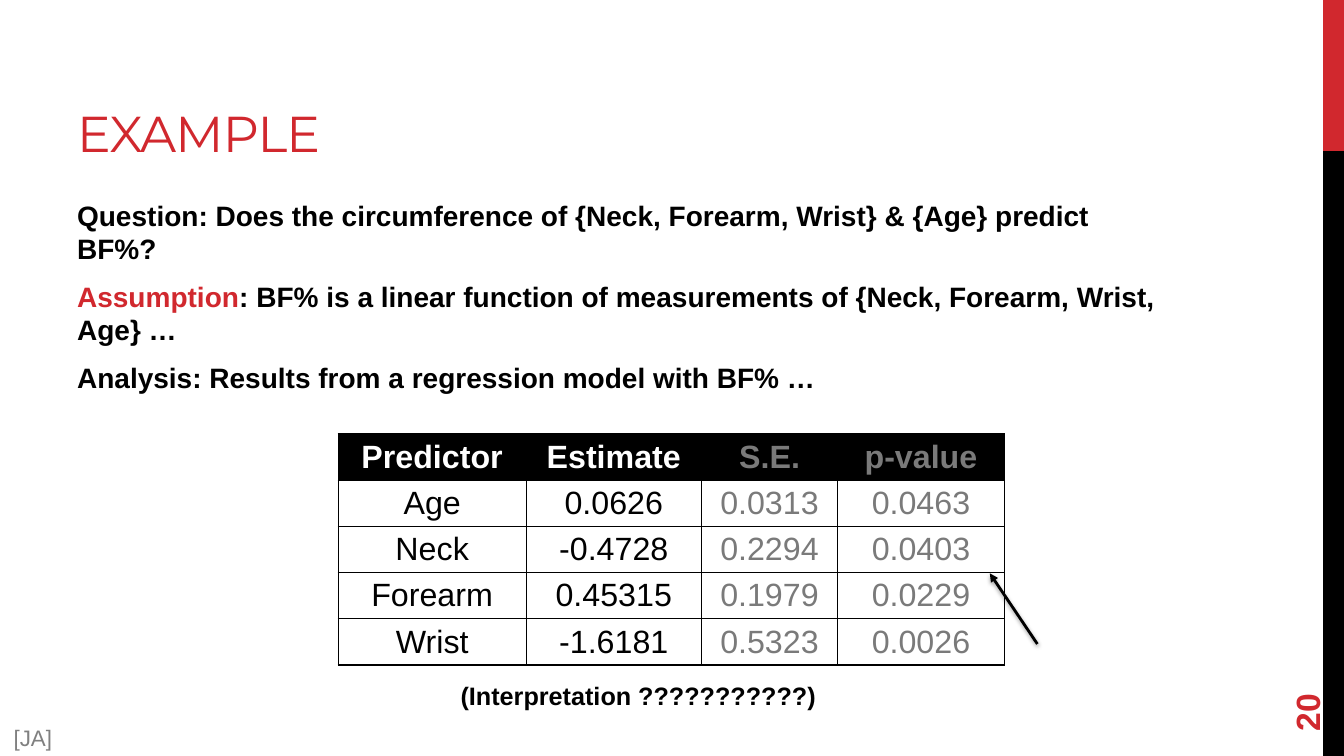
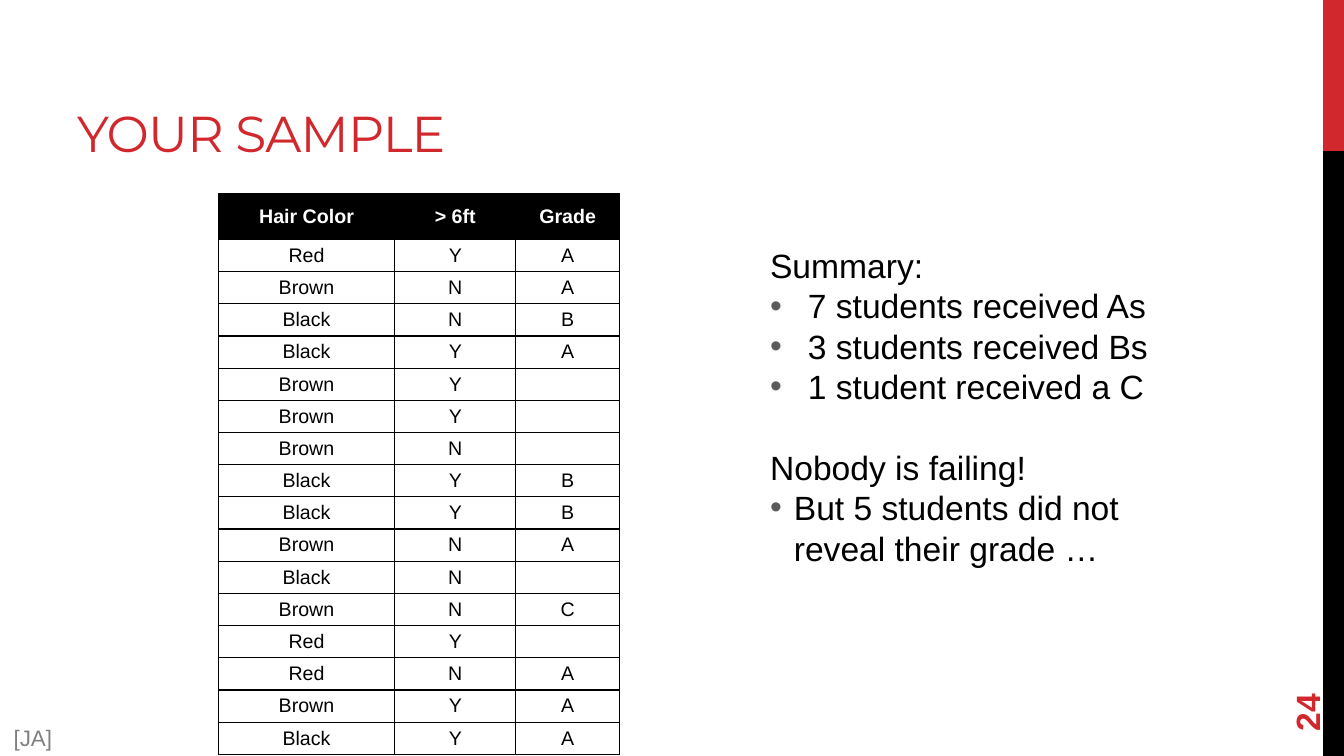
from dataclasses import dataclass

from lxml.etree import SubElement
from pptx import Presentation
from pptx.dml.color import RGBColor
from pptx.enum.shapes import MSO_CONNECTOR as Connector, MSO_SHAPE as Preset
from pptx.enum.text import MSO_ANCHOR as Anchor, PP_ALIGN as Align
from pptx.oxml.ns import qn
from pptx.util import Pt

RED, BLACK, WHITE = "D1282E", "000000", "FFFFFF"
GRAY, FOOTER_GRAY, BULLET_GRAY = "7A7A7A", "808080", "5B5B5B"
BODY_FONT, TITLE_FONT = "Arial", "Montserrat"
PAGE_WIDTH, PAGE_HEIGHT = 960, 540
BAND_WIDTH, BAND_SPLIT = 15, 108


@dataclass(frozen=True)
class Band:
    top: float
    height: float
    color: str


@dataclass(frozen=True)
class Grid:
    """A table with a black header row; columns from muted_from on have gray text."""
    left: float
    top: float
    widths: tuple[float, ...]
    header_height: float
    row_height: float
    size: float
    rows: tuple[tuple[str, ...], ...]
    muted_from: int


@dataclass(frozen=True)
class SummaryLine:
    text: str
    indent: float = 0
    space_before: float = 0


BANDS = (
    Band(0, BAND_SPLIT, RED),
    Band(BAND_SPLIT, PAGE_HEIGHT - BAND_SPLIT, BLACK),
)

REGRESSION = Grid(
    left=241.5, top=310, widths=(134.5, 125, 97.5, 119), header_height=33,
    row_height=33, size=23, muted_from=2,
    rows=(
        ("Predictor", "Estimate", "S.E.", "p-value"),
        ("Age", "0.0626", "0.0313", "0.0463"),
        ("Neck", "-0.4728", "0.2294", "0.0403"),
        ("Forearm", "0.45315", "0.1979", "0.0229"),
        ("Wrist", "-1.6181", "0.5323", "0.0026"),
    ),
)

STUDENTS = Grid(
    left=156, top=138.5, widths=(126, 86.5, 74), header_height=32.5,
    row_height=23, size=14, muted_from=3,
    rows=(
        ("Hair Color", "> 6ft", "Grade"),
        ("Red", "Y", "A"),
        ("Brown", "N", "A"),
        ("Black", "N", "B"),
        ("Black", "Y", "A"),
        ("Brown", "Y", ""),
        ("Brown", "Y", ""),
        ("Brown", "N", ""),
        ("Black", "Y", "B"),
        ("Black", "Y", "B"),
        ("Brown", "N", "A"),
        ("Black", "N", ""),
        ("Brown", "N", "C"),
        ("Red", "Y", ""),
        ("Red", "N", "A"),
        ("Brown", "Y", "A"),
        ("Black", "Y", "A"),
    ),
)

STATEMENTS = (
    (("Question: Does the circumference of {Neck, Forearm, Wrist} & {Age} predict BF%?", BLACK),),
    (("Assumption", RED),
     (": BF% is a linear function of measurements of {Neck, Forearm, Wrist, Age} …", BLACK)),
    (("Analysis: Results from a regression model with BF% …", BLACK),),
)

SUMMARY = (
    SummaryLine("Summary:"),
    SummaryLine("7 students received As", indent=27),
    SummaryLine("3 students received Bs", indent=27),
    SummaryLine("1 student received a C", indent=27),
    SummaryLine("Nobody is failing!", space_before=29),
    SummaryLine("But 5 students did not reveal their grade …", indent=17),
)


def rgb(color: str) -> RGBColor:
    return RGBColor.from_string(color)


def add_span(para, text: str, *, size: float, color: str = BLACK, bold: bool = False,
             font: str = BODY_FONT, tracking: float = 0) -> None:
    span = para.add_run()
    span.text = text
    span.font.size = Pt(size)
    span.font.name = font
    span.font.bold = bold
    span.font.color.rgb = rgb(color)
    if tracking:
        span.font._element.set("spc", str(round(tracking * 100)))


def add_box(page, left: float, top: float, width: float, height: float,
            anchor: Anchor = Anchor.TOP):
    box = page.shapes.add_textbox(Pt(left), Pt(top), Pt(width), Pt(height))
    box.text_frame.word_wrap = True
    box.text_frame.vertical_anchor = anchor
    return box


def next_para(frame, index: int):
    """Return the frame's own first paragraph, or a new one after it."""
    return frame.add_paragraph() if index else frame.paragraphs[0]


def add_bullet(para, indent: float) -> None:
    props = para._p.get_or_add_pPr()
    props.set("marL", str(Pt(indent)))
    props.set("indent", str(-Pt(indent)))
    SubElement(SubElement(props, qn("a:buClr")), qn("a:srgbClr"), val=BULLET_GRAY)
    SubElement(props, qn("a:buFont"), typeface=BODY_FONT)
    SubElement(props, qn("a:buChar"), char="•")


def add_page(deck, title: str, number: int):
    """Add a blank page with its bands, title, footer and page number."""
    page = deck.slides.add_slide(deck.slide_layouts[6])
    for band in BANDS:
        bar = page.shapes.add_shape(
            Preset.RECTANGLE, Pt(PAGE_WIDTH - BAND_WIDTH), Pt(band.top),
            Pt(BAND_WIDTH), Pt(band.height))
        bar.shadow.inherit = False
        bar.fill.solid()
        bar.fill.fore_color.rgb = rgb(band.color)
        bar.line.fill.background()

    heading = add_box(page, 48, 12, 608, 108, Anchor.BOTTOM)
    add_span(heading.text_frame.paragraphs[0], title, size=36, color=RED,
             font=TITLE_FONT, tracking=-0.6)

    footer = add_box(page, -0.5, 513.5, 48, 26).text_frame.paragraphs[0]
    footer.alignment = Align.CENTER
    add_span(footer, "[JA]", size=16, color=FOOTER_GRAY)

    number_box = add_box(page, 881.5, 458.5, 103.5, 38, Anchor.MIDDLE)
    number_box.rotation = 270
    add_span(number_box.text_frame.paragraphs[0], str(number), size=24, color=RED, bold=True)
    return page


def add_borders(cell) -> None:
    props = cell._tc.get_or_add_tcPr()
    for side in ("lnL", "lnR", "lnT", "lnB"):
        line = SubElement(props, qn(f"a:{side}"), w=str(Pt(0.96)))
        SubElement(SubElement(line, qn("a:solidFill")), qn("a:srgbClr"), val=BLACK)


def fill_cell(cell, text: str, size: float, is_header: bool, is_muted: bool) -> None:
    cell.margin_left = cell.margin_right = Pt(0.5)
    cell.margin_top = cell.margin_bottom = Pt(2)
    cell.vertical_anchor = Anchor.MIDDLE
    add_borders(cell)
    if is_header:
        cell.fill.solid()
        cell.fill.fore_color.rgb = rgb(BLACK)
    else:
        cell.fill.background()
    para = cell.text_frame.paragraphs[0]
    para.alignment = Align.CENTER
    if text:
        color = GRAY if is_muted else WHITE if is_header else BLACK
        add_span(para, text, size=size, color=color, bold=is_header)
    else:
        SubElement(para._p, qn("a:endParaRPr"), sz=str(round(size * 100)))


def add_grid(page, grid: Grid) -> None:
    heights = [grid.header_height] + [grid.row_height] * (len(grid.rows) - 1)
    table = page.shapes.add_table(
        len(grid.rows), len(grid.widths), Pt(grid.left), Pt(grid.top),
        Pt(sum(grid.widths)), Pt(sum(heights))).table
    table.first_row = table.horz_banding = False
    for column, width in zip(table.columns, grid.widths):
        column.width = Pt(width)
    for r, (row, height) in enumerate(zip(grid.rows, heights)):
        table.rows[r].height = Pt(height)
        for c, text in enumerate(row):
            fill_cell(table.cell(r, c), text, grid.size, r == 0, c >= grid.muted_from)


def add_arrow(page, start: tuple[float, float], end: tuple[float, float]) -> None:
    """Draw a black arrow with a soft shadow below it."""
    arrow = page.shapes.add_connector(Connector.STRAIGHT, *map(Pt, start + end))
    arrow.line.width = Pt(2)
    arrow.line.color.rgb = rgb(BLACK)
    SubElement(arrow.line._get_or_add_ln(), qn("a:tailEnd"), type="triangle")
    effects = SubElement(arrow._element.spPr, qn("a:effectLst"))
    shadow = SubElement(effects, qn("a:outerShdw"), blurRad=str(Pt(3.1)),
                        dist=str(Pt(1.6)), dir="5400000", rotWithShape="0")
    tint = SubElement(shadow, qn("a:srgbClr"), val=BLACK)
    SubElement(tint, qn("a:alpha"), val="38000")


def build_example(deck) -> None:
    page = add_page(deck, "EXAMPLE", 20)
    frame = add_box(page, 48, 138, 790, 150).text_frame
    for index, spans in enumerate(STATEMENTS):
        para = next_para(frame, index)
        para.space_before = Pt(4 if index else 0)
        para.space_after = Pt(6)
        for text, color in spans:
            add_span(para, text, size=20, color=color, bold=True)

    add_grid(page, REGRESSION)
    caption = add_box(page, 263, 482.5, 386, 29).text_frame.paragraphs[0]
    caption.alignment = Align.CENTER
    add_span(caption, "(Interpretation ???????????)", size=18, bold=True)
    add_arrow(page, (741, 460), (707, 409.5))


def build_sample(deck) -> None:
    page = add_page(deck, "YOUR SAMPLE", 24)
    add_grid(page, STUDENTS)
    frame = add_box(page, 543, 171.5, 330, 238).text_frame
    for index, line in enumerate(SUMMARY):
        para = next_para(frame, index)
        para.space_before = Pt(line.space_before)
        if line.indent:
            add_bullet(para, line.indent)
        add_span(para, line.text, size=24)


def main() -> None:
    deck = Presentation()
    deck.slide_width, deck.slide_height = Pt(PAGE_WIDTH), Pt(PAGE_HEIGHT)
    build_example(deck)
    build_sample(deck)
    deck.save("out.pptx")


if __name__ == "__main__":
    main()
